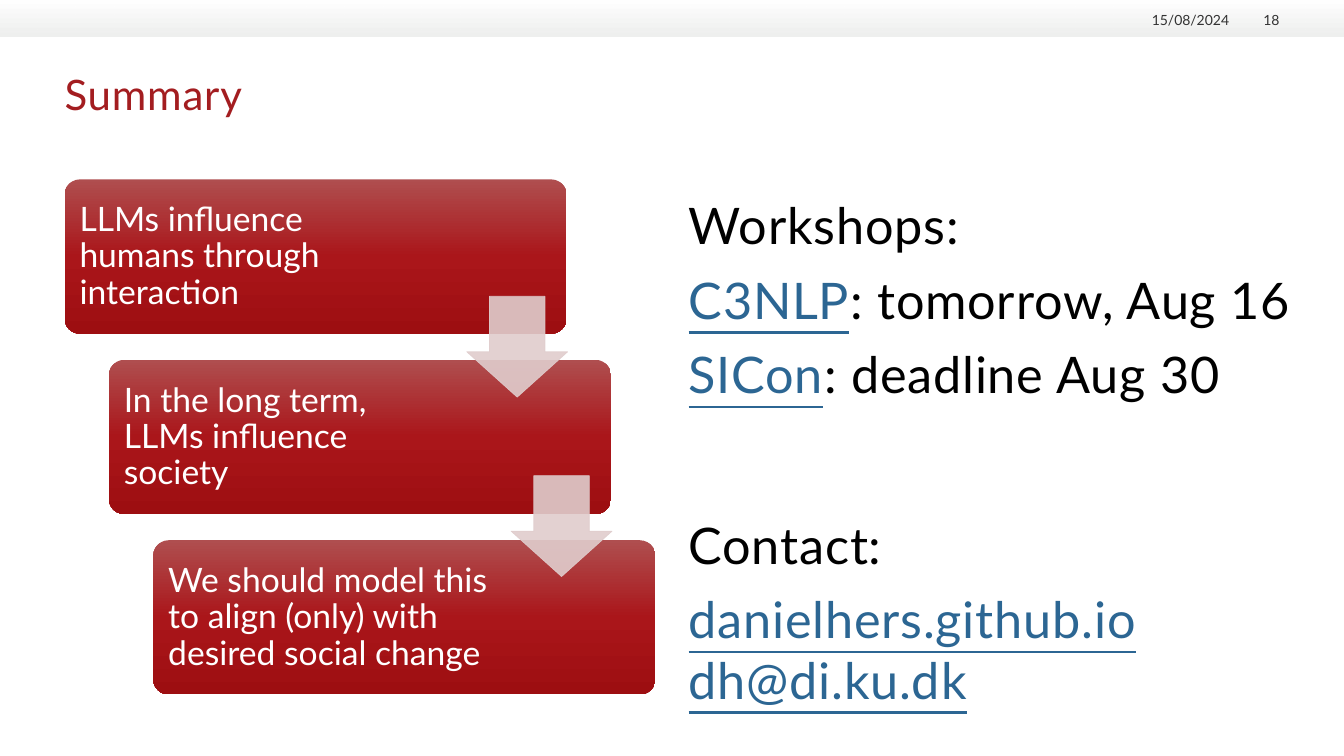
import pptx
import pptx.util
import pptx.dml.color
import pptx.enum.shapes
import pptx.enum.text
import pptx.oxml.ns
from lxml import etree

Inches = pptx.util.Inches
Pt = pptx.util.Pt
qn = pptx.oxml.ns.qn
KIND = pptx.enum.shapes.MSO_SHAPE
ALIGN = pptx.enum.text.PP_ALIGN
ANCHOR = pptx.enum.text.MSO_ANCHOR

COLORS = {
    "title": "A31D20", "meta": "333333", "body": "000000",
    "link": "2C6693", "white": "FFFFFF", "band": "EEEFEE",
    "light": "AF4E4F", "red": "AA161A", "dark": "9D0E11", "arrow": "E0CDCD",
}
TITLE = {"size": 30, "color": "title", "track": 60}
META = {"size": 10, "color": "meta", "align": ALIGN.RIGHT, "anchor": ANCHOR.BOTTOM}
STEP = {"size": 24, "color": "white", "anchor": ANCHOR.MIDDLE, "inset": 0.1, "lead": 0.9}
BODY = {"size": 36, "color": "body", "track": 60, "before": 10}

STEPS = [
    ("LLMs influence humans through interaction", 3.32),
    ("In the long term, LLMs influence society", 3.45),
    ("We should model this to align (only) with desired social change", 3.45),
]
SHIFT_X, SHIFT_Y = 0.44, 1.79


def rgb(name):
    return pptx.dml.color.RGBColor.from_string(COLORS[name])


def apply(item, values):
    for name, value in values.items():
        setattr(item, name, value)


def fade(node, alpha):
    etree.SubElement(node, qn("a:alpha"), val=str(alpha * 1000))


def add_run(para, text, style, link=False):
    run = para.add_run()
    run.text = text
    apply(run.font, {"name": "Lato", "size": Pt(style["size"]), "underline": link})
    run.font.color.rgb = rgb("link" if link else style["color"])
    run.font._element.set("spc", str(style.get("track", 0)))


def add_text(slide, place, lines, style):
    frame = slide.shapes.add_textbox(*map(Inches, place)).text_frame
    inset = Inches(style.get("inset", 0))
    apply(frame, {
        "word_wrap": True,
        "vertical_anchor": style.get("anchor", ANCHOR.TOP),
        "margin_left": inset, "margin_right": inset,
        "margin_top": inset, "margin_bottom": inset,
    })
    for row, parts in enumerate(lines):
        para = frame.paragraphs[0] if row == 0 else frame.add_paragraph()
        apply(para, {
            "alignment": style.get("align", ALIGN.LEFT),
            "line_spacing": style.get("lead", 1.0),
            "space_before": Pt(style.get("before", 0) if row else 0),
        })
        for text, link in parts:
            if text == "\n":
                para.add_line_break()
            else:
                add_run(para, text, style, link)


def add_form(slide, kind, place, adjust=()):
    shape = slide.shapes.add_shape(kind, *map(Inches, place))
    shape.shadow.inherit = False
    for index, value in enumerate(adjust):
        shape.adjustments[index] = value
    return shape


def blend(shape, stops):
    shape.line.fill.background()
    shape.fill.gradient()
    shape.fill.gradient_angle = 270
    group = shape._element.spPr.find(".//" + qn("a:gsLst"))
    for old in list(group):
        group.remove(old)
    for point, name, alpha in stops:
        stop = etree.SubElement(group, qn("a:gs"), pos=str(point * 1000))
        color = etree.SubElement(stop, qn("a:srgbClr"), val=COLORS[name])
        if alpha < 100:
            fade(color, alpha)


def add_step(slide, index, text, width):
    left, top = 0.64 + index * SHIFT_X, 1.78 + index * SHIFT_Y
    card = add_form(slide, KIND.ROUNDED_RECTANGLE, (left, top, 4.98, 1.53), [0.1])
    blend(card, [(0, "light", 100), (50, "red", 100), (100, "dark", 100)])
    add_text(slide, (left + 0.05, top + 0.05, width, 1.44), [[(text, False)]], STEP)


def add_arrow(slide, index):
    place = (4.63 + index * SHIFT_X, 2.94 + index * 1.78, 1, 1)
    arrow = add_form(slide, KIND.DOWN_ARROW, place, [0.55, 0.45])
    arrow.line.width = Pt(0.5)
    arrow.fill.solid()
    for color in (arrow.fill.fore_color, arrow.line.color):
        color.rgb = rgb("arrow")
    for node in arrow._element.spPr.iter(qn("a:srgbClr")):
        fade(node, 90)


def main():
    deck = pptx.Presentation()
    apply(deck, {"slide_width": Inches(13.33), "slide_height": Inches(7.5)})
    slide = deck.slides.add_slide(deck.slide_layouts[6])

    band = add_form(slide, KIND.RECTANGLE, (0, 0, 13.33, 0.36))
    blend(band, [(0, "white", 100), (100, "band", 93)])
    add_text(slide, (0.64, 0.68, 12.04, 0.95), [[("Summary", False)]], TITLE)
    add_text(slide, (11.3, 0.09, 0.89, 0.19), [[("15/08/2024", False)]], META)
    add_text(slide, (12.27, 0.09, 0.42, 0.19), [[("18", False)]], META)

    for index, (text, width) in enumerate(STEPS):
        add_step(slide, index, text, width)
    for index in range(len(STEPS) - 1):
        add_arrow(slide, index)

    add_text(slide, (6.83, 1.93, 6.14, 2.32), [
        [("Workshops:", False)],
        [("C3NLP", True), (": tomorrow, Aug 16", False)],
        [("SICon", True), (": deadline Aug 30", False)],
    ], BODY)
    add_text(slide, (6.83, 5.1, 5.86, 1.25), [
        [("Contact:", False)],
        [("danielhers.github.io", True), ("\n", False), ("dh@di.ku.dk", True)],
    ], BODY)
    deck.save("out.pptx")


if __name__ == "__main__":
    main()
